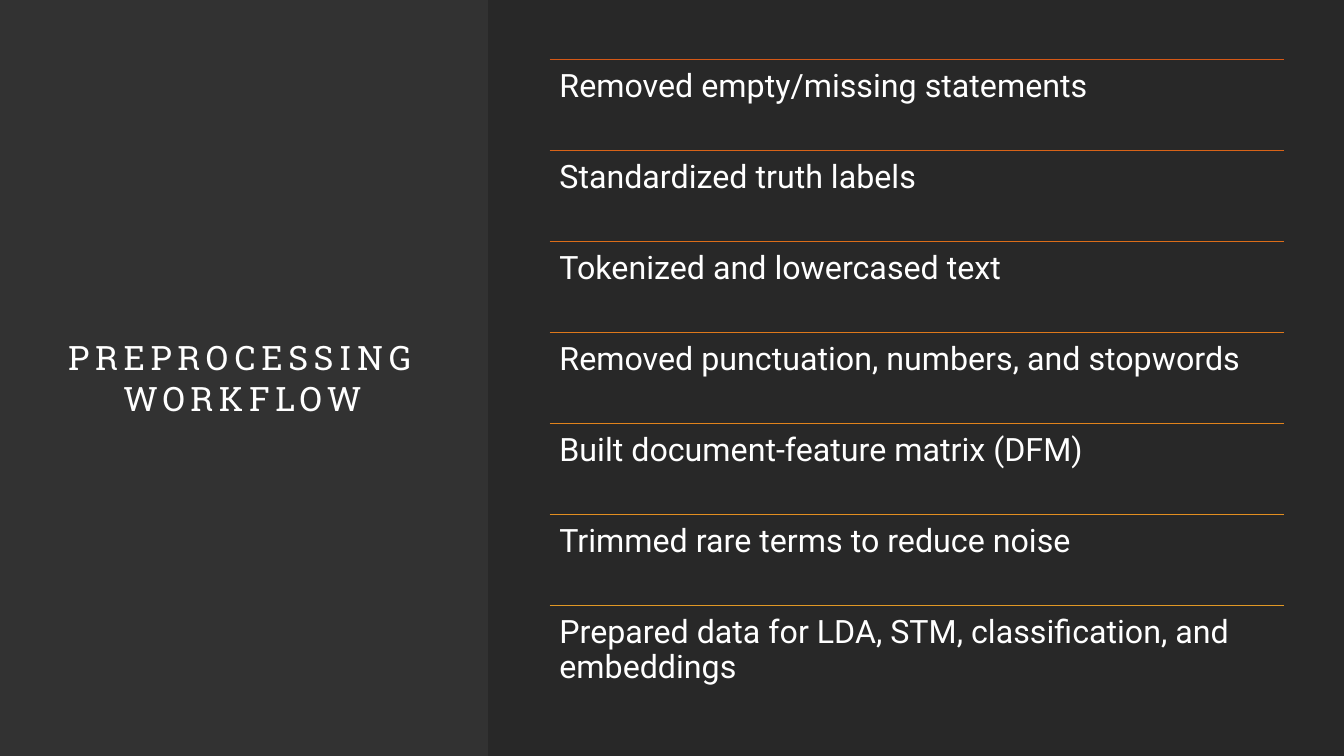
from lxml import etree
from pptx import Presentation
from pptx import util as u
from pptx.dml.color import RGBColor
from pptx.enum import shapes, text
from pptx.oxml.ns import qn

WIDTH, HEIGHT = 13.33, 7.5
COLORS = {"background": "323232", "panel": "000000", "text": "FFFFFF"}
STEPS = [
    ("Removed empty/missing statements", "D55816"),
    ("Standardized truth labels", "D86318"),
    ("Tokenized and lowercased text", "DB6D19"),
    ("Removed punctuation, numbers, and stopwords", "DE781B"),
    ("Built document-feature matrix (DFM)", "E1831C"),
    ("Trimmed rare terms to reduce noise", "E28E20"),
    ("Prepared data for LDA, STM, classification, and embeddings", "E19825"),
]


def rgb(name):
    return RGBColor.from_string(COLORS.get(name, name))


def add_text(slide, box, words, font_name, size, inset):
    """Add a wrapped one-paragraph text box and return its frame and paragraph."""
    frame = slide.shapes.add_textbox(*map(u.Inches, box)).text_frame
    frame.word_wrap = True
    frame.margin_left = frame.margin_right = u.Inches(inset)
    frame.margin_top = frame.margin_bottom = u.Inches(inset)
    paragraph = frame.paragraphs[0]
    paragraph.text = words
    paragraph.font.name = font_name
    paragraph.font.size = u.Pt(size)
    paragraph.font.color.rgb = rgb("text")
    return frame, paragraph


def add_title(slide, box):
    frame, title = add_text(slide, box, "PREPROCESSING WORKFLOW", "Roboto Slab", 24, 0)
    frame.vertical_anchor = text.MSO_ANCHOR.MIDDLE
    title.alignment = text.PP_ALIGN.CENTER
    title.runs[0].font._element.set("spc", "400")


def add_panel(slide, box):
    panel = slide.shapes.add_shape(shapes.MSO_SHAPE.RECTANGLE, *map(u.Inches, box))
    panel.shadow.inherit = False
    panel.line.fill.background()
    panel.fill.solid()
    panel.fill.fore_color.rgb = rgb("panel")
    color = panel._element.spPr.find(f"{qn('a:solidFill')}/{qn('a:srgbClr')}")
    etree.SubElement(color, qn("a:alpha"), val="20000")


def add_steps(slide, box):
    """Split the box into equal rows, each with a rule above its text."""
    left, top, width, height = box
    row_height = height / len(STEPS)
    for row, (words, color) in enumerate(STEPS):
        y = top + row * row_height
        rule = slide.shapes.add_connector(
            shapes.MSO_CONNECTOR.STRAIGHT, *map(u.Inches, (left, y, left + width, y)))
        rule.line.color.rgb = rgb(color)
        rule.line.width = u.Pt(0.75)
        etree.SubElement(rule._element.spPr, qn("a:effectLst"))
        _, step = add_text(slide, (left, y, width, row_height), words, "Roboto", 23, 0.1)
        step.line_spacing = 0.9


def build_workflow_slide(deck):
    slide = deck.slides.add_slide(deck.slide_layouts[6])
    slide.background.fill.solid()
    slide.background.fill.fore_color.rgb = rgb("background")
    add_title(slide, (0.59, 1.18, 3.63, 5.13))
    add_panel(slide, (4.84, 0, WIDTH - 4.84, HEIGHT))
    add_steps(slide, (5.45, 0.59, 7.29, 6.32))


def main():
    deck = Presentation()
    deck.slide_width, deck.slide_height = u.Inches(WIDTH), u.Inches(HEIGHT)
    build_workflow_slide(deck)
    deck.save("out.pptx")


if __name__ == "__main__":
    main()
